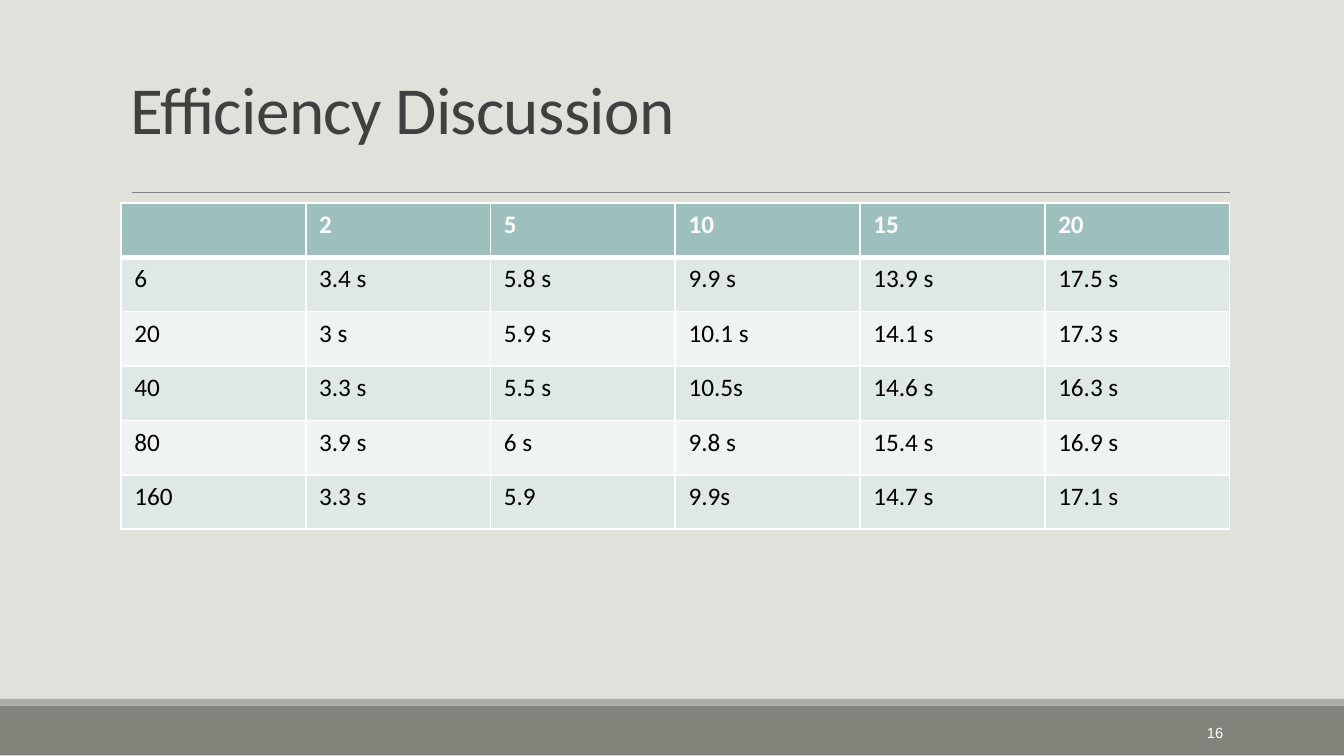
from dataclasses import dataclass

from lxml import etree
from pptx import Presentation
from pptx.dml.color import RGBColor
from pptx.enum.shapes import MSO_CONNECTOR, MSO_SHAPE
from pptx.enum.text import MSO_ANCHOR, PP_ALIGN
from pptx.oxml.ns import qn
from pptx.util import Inches, Pt

RECTANGLE = MSO_SHAPE.RECTANGLE
STRAIGHT = MSO_CONNECTOR.STRAIGHT
MIDDLE = MSO_ANCHOR.MIDDLE
LEFT, RIGHT = PP_ALIGN.LEFT, PP_ALIGN.RIGHT

# A 16:9 slide
SLIDE_WIDTH = Inches(10)
SLIDE_HEIGHT = Inches(10 * 9 / 16)

COLORS = {
    "background": "E1E1DB",
    "footer": "82847C",
    "footer_edge": "ACADA8",
    "rule": "808080",
    "title": "404040",
    "header": "9DBFBE",
    "odd_row": "DEE8E7",
    "even_row": "EFF3F3",
    "white": "FFFFFF",
    "black": "000000",
}

TIMINGS = [
    ["", "2", "5", "10", "15", "20"],
    ["6", "3.4 s", "5.8 s", "9.9 s", "13.9 s", "17.5 s"],
    ["20", "3 s", "5.9 s", "10.1 s", "14.1 s", "17.3 s"],
    ["40", "3.3 s", "5.5 s", "10.5s", "14.6 s", "16.3 s"],
    ["80", "3.9 s", "6 s", "9.8 s", "15.4 s", "16.9 s"],
    ["160", "3.3 s", "5.9", "9.9s", "14.7 s", "17.1 s"],
]
TABLE_LEFT, TABLE_TOP, TABLE_WIDTH, TABLE_HEIGHT = 0.9, 1.51, 8.25, 2.43
THIN, THICK = 0.96, 3


@dataclass
class Band:
    top: float
    height: float
    color: str


@dataclass
class Label:
    text: str
    left: float
    top: float
    width: float
    height: float
    font: str
    size: float
    color: str
    align: PP_ALIGN = LEFT
    inset_x: float = 0.1
    inset_y: float = 0.05
    line_spacing: float = 1.0
    tracking: float = 0


BANDS = [Band(5.25, 0.37, "footer"), Band(5.2, 0.05, "footer_edge")]
LABELS = [
    Label("Efficiency Discussion", 0.9, 0.24, 8.25, 1.19, "Calibri", 36, "title",
          inset_x=0.07, inset_y=0.04, line_spacing=0.9, tracking=-0.4),
    Label("16", 8.12, 5.3, 1.08, 0.3, "Arial", 7.9, "white", RIGHT),
]


def rgb(name: str) -> RGBColor:
    return RGBColor.from_string(COLORS[name])


def style_font(font, name: str, size: float, color: str, bold: bool = False) -> None:
    font.name = name
    font.size = Pt(size)
    font.bold = bold
    font.color.rgb = rgb(color)


def draw_band(slide, band: Band) -> None:
    bar = slide.shapes.add_shape(
        RECTANGLE, 0, Inches(band.top), SLIDE_WIDTH, Inches(band.height))
    bar.shadow.inherit = False
    bar.fill.solid()
    bar.fill.fore_color.rgb = rgb(band.color)
    bar.line.fill.background()


def draw_rule(slide, left: float, right: float, y: float) -> None:
    rule = slide.shapes.add_connector(
        STRAIGHT, Inches(left), Inches(y), Inches(right), Inches(y))
    rule.line.color.rgb = rgb("rule")
    rule.line.width = Pt(0.5)
    etree.SubElement(rule._element.spPr, qn("a:effectLst"))


def draw_label(slide, label: Label) -> None:
    box = slide.shapes.add_textbox(
        Inches(label.left), Inches(label.top), Inches(label.width), Inches(label.height))
    frame = box.text_frame
    frame.word_wrap = True
    frame.vertical_anchor = MIDDLE
    frame.margin_left = frame.margin_right = Inches(label.inset_x)
    frame.margin_top = frame.margin_bottom = Inches(label.inset_y)
    paragraph = frame.paragraphs[0]
    paragraph.text = label.text
    paragraph.alignment = label.align
    paragraph.line_spacing = label.line_spacing
    style_font(paragraph.font, label.font, label.size, label.color)
    if label.tracking:
        run_properties = paragraph.runs[0]._r.get_or_add_rPr()
        run_properties.set("spc", str(round(label.tracking * 100)))


def set_borders(cell, top: float, bottom: float) -> None:
    properties = cell._tc.get_or_add_tcPr()
    for side, width in (("L", THIN), ("R", THIN), ("T", top), ("B", bottom)):
        border = etree.SubElement(properties, qn(f"a:ln{side}"), w=str(Pt(width)))
        fill = etree.SubElement(border, qn("a:solidFill"))
        etree.SubElement(fill, qn("a:srgbClr"), val=COLORS["white"])


def draw_timings(slide, rows: list[list[str]]) -> None:
    table = slide.shapes.add_table(
        len(rows), len(rows[0]), Inches(TABLE_LEFT), Inches(TABLE_TOP),
        Inches(TABLE_WIDTH), Inches(TABLE_HEIGHT)).table
    for r, values in enumerate(rows):
        is_header = r == 0
        row_color = "header" if is_header else "odd_row" if r % 2 else "even_row"
        for c, value in enumerate(values):
            cell = table.cell(r, c)
            # The heavy line lies between the header and the first data row
            set_borders(cell, THICK if r == 1 else THIN, THICK if is_header else THIN)
            cell.fill.solid()
            cell.fill.fore_color.rgb = rgb(row_color)
            paragraph = cell.text_frame.paragraphs[0]
            paragraph.text = value
            style_font(paragraph.font, "Calibri", 13.5,
                       "white" if is_header else "black", is_header)


def main() -> None:
    deck = Presentation()
    deck.slide_width, deck.slide_height = SLIDE_WIDTH, SLIDE_HEIGHT
    slide = deck.slides.add_slide(deck.slide_layouts[6])
    slide.background.fill.solid()
    slide.background.fill.fore_color.rgb = rgb("background")

    # Footer bands and the rule under the title
    for band in BANDS:
        draw_band(slide, band)
    draw_rule(slide, 0.98, 9.15, 1.43)

    # Title, slide number and timing table
    for label in LABELS:
        draw_label(slide, label)
    draw_timings(slide, TIMINGS)

    deck.save("out.pptx")


if __name__ == "__main__":
    main()
